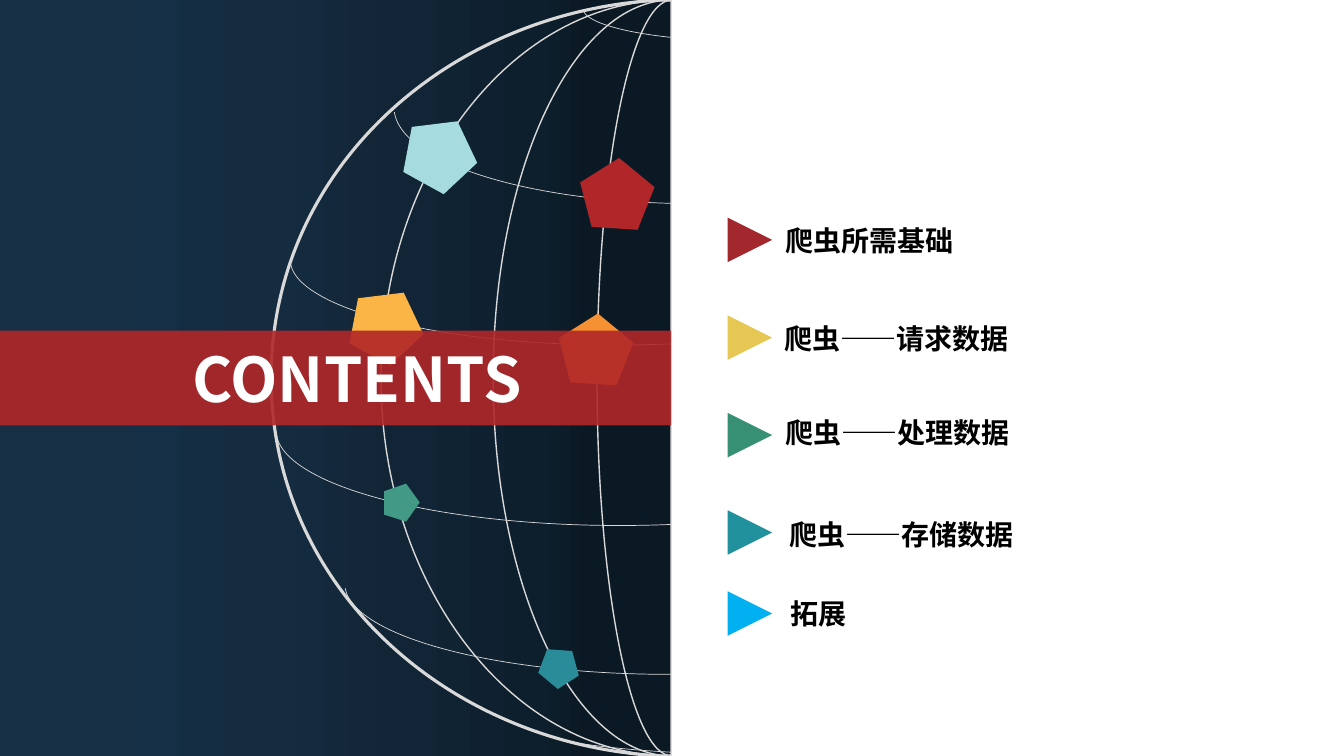
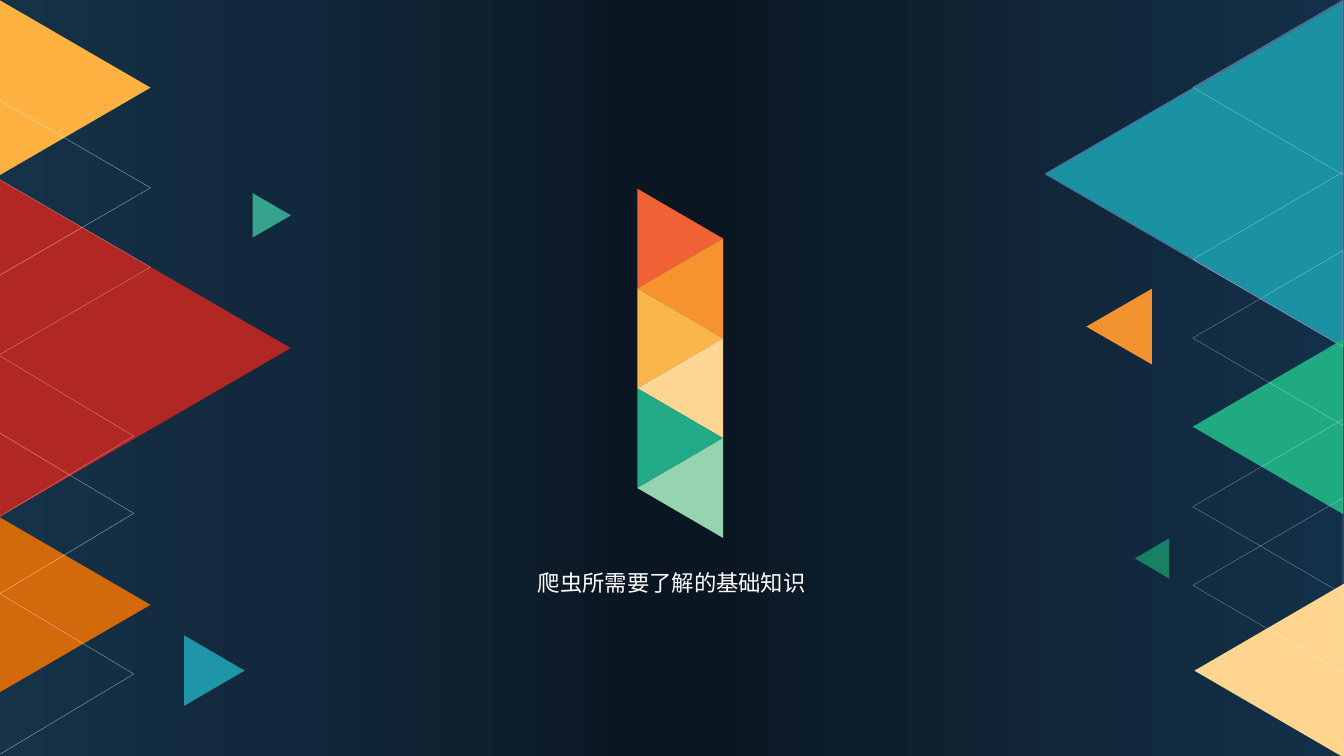
from dataclasses import dataclass
from typing import Any, Optional

from lxml import etree
from pptx import Presentation
from pptx.dml.color import RGBColor
from pptx.enum import shapes, text
from pptx.oxml.ns import qn
from pptx.util import Emu, Pt

# Grid of square cells covering the slide
COLUMNS, ROWS = 400, 225
CELL = 30480
HALF = COLUMNS / 2
LEFT_EDGE, RIGHT_EDGE = -0.2, 399.7
BLANK_LAYOUT = 6
CURVE_HANDLE = 0.55
KIND = shapes.MSO_SHAPE


@dataclass(frozen=True)
class Theme:
    font: str = "Noto Sans CJK SC"
    title_size: float = 44
    item_size: float = 20
    caption_size: float = 16
    white: str = "FFFFFF"
    black: str = "000000"
    globe_line: str = "D9D9D9"
    band: str = "B12729"
    edge: str = "43739E"
    panel_stops: tuple = ((0, "162F45"), (20, "152F46"), (40, "152B40"),
                          (60, "122536"), (80, "0D1F2D"), (88, "0B1924"))
    page_stops: tuple = ((0, "123049"), (20, "12273A"), (35, "0D1F2D"),
                         (47, "0A1622"), (50, "0A1622"), (53, "0A1622"),
                         (65, "0F2030"), (80, "12283D"), (100, "153249"))


THEME = Theme()


@dataclass(frozen=True)
class Area:
    """Left, top, width and height in grid cells."""
    left: float
    top: float
    width: float
    height: float

    def emu(self) -> tuple[Emu, ...]:
        return tuple(Emu(round(n * CELL))
                     for n in (self.left, self.top, self.width, self.height))


@dataclass(frozen=True)
class Stroke:
    color: str
    width: float
    opacity: int = 100


@dataclass(frozen=True)
class Triangle:
    """Flat side at column base, centred on row middle, pointing sideways."""
    base: float
    middle: float
    depth: float
    span: float
    points_right: bool
    fill: Optional[str] = None
    stroke: Optional[Stroke] = None


@dataclass(frozen=True)
class Meridian:
    center: float
    radius: float
    width: float
    sag: float = 0


@dataclass(frozen=True)
class Pentagon:
    area: Area
    rotation: float
    fill: str


@dataclass(frozen=True)
class Item:
    label: str
    color: str
    middle: float
    text_left: float
    text_middle: float


# Drawing helpers
def set_opacity(parent: Any, percent: int) -> None:
    if percent < 100:
        color = parent.find(".//" + qn("a:srgbClr"))
        etree.SubElement(color, qn("a:alpha")).set("val", str(percent * 1000))


def set_gradient(fill: Any, element: Any, stops: tuple, angle: float) -> None:
    fill.gradient()
    fill.gradient_angle = angle
    stop_list = element.find(".//" + qn("a:gsLst"))
    for old in list(stop_list):
        stop_list.remove(old)
    for position, color in stops:
        stop = etree.SubElement(stop_list, qn("a:gs"))
        stop.set("pos", str(position * 1000))
        etree.SubElement(stop, qn("a:srgbClr")).set("val", color)


def style(shape: Any, fill: Optional[str] = None,
          stroke: Optional[Stroke] = None, opacity: int = 100) -> Any:
    shape.shadow.inherit = False
    if fill:
        shape.fill.solid()
        shape.fill.fore_color.rgb = RGBColor.from_string(fill)
        set_opacity(shape.element.spPr.find(qn("a:solidFill")), opacity)
    else:
        shape.fill.background()
    if stroke:
        shape.line.color.rgb = RGBColor.from_string(stroke.color)
        shape.line.width = Pt(stroke.width)
        set_opacity(shape.element.spPr.find(qn("a:ln")), stroke.opacity)
    else:
        shape.line.fill.background()
    return shape


def add_preset(page: Any, kind: Any, area: Area, **look: Any) -> Any:
    return style(page.shapes.add_shape(kind, *area.emu()), **look)


def add_triangle(page: Any, item: Triangle) -> None:
    center = item.base + item.depth / 2 * (1 if item.points_right else -1)
    area = Area(center - item.span / 2, item.middle - item.depth / 2,
                item.span, item.depth)
    shape = add_preset(page, KIND.ISOSCELES_TRIANGLE, area,
                       fill=item.fill, stroke=item.stroke)
    shape.rotation = 90 if item.points_right else 270


def add_text(page: Any, words: str, area: Area, *, size: float, color: str,
             bold: bool = False, centered: bool = False) -> None:
    box = page.shapes.add_textbox(*area.emu())
    frame = box.text_frame
    frame.word_wrap = True
    frame.auto_size = text.MSO_AUTO_SIZE.SHAPE_TO_FIT_TEXT
    para = frame.paragraphs[0]
    para.alignment = text.PP_ALIGN.CENTER if centered else text.PP_ALIGN.LEFT
    span = para.add_run()
    span.text = words
    span.font.size = Pt(size)
    span.font.bold = bold
    span.font.color.rgb = RGBColor.from_string(color)
    span.font.name = THEME.font
    east_asian = etree.SubElement(span.font._element, qn("a:ea"))
    east_asian.set("typeface", THEME.font)


def add_meridian(page: Any, item: Meridian) -> None:
    """Left half of an ellipse as tall as the slide, closed at mid-slide."""
    left, middle = item.center - item.radius, ROWS / 2
    corners = [(HALF, ROWS), (item.center, ROWS), (left, middle), (item.center, 0)]
    if item.center == HALF:
        del corners[1]
    points = [(round(x * CELL), round(y * CELL)) for x, y in corners]
    builder = page.shapes.build_freeform(round(HALF * CELL), 0, scale=1.0)
    builder.add_line_segments(points, close=True)
    outline = style(builder.convert_to_shape(),
                    stroke=Stroke(THEME.globe_line, item.width))

    # Turn the last two straight sides into quarter ellipses
    near = item.center - CURVE_HANDLE * item.radius
    reach = CURVE_HANDLE * middle
    controls = (((near, ROWS - item.sag), (left, middle + reach)),
                ((left, middle - reach), (near, item.sag)))
    sides = outline.element.findall(".//" + qn("a:lnTo"))[-2:]
    if item.center == HALF:
        sides = outline.element.findall(".//" + qn("a:lnTo"))[1:3]
    for side, handles in zip(sides, controls):
        side.tag = qn("a:cubicBezTo")
        for index, (x, y) in enumerate(handles):
            point = etree.Element(qn("a:pt"))
            point.set("x", str(round((x - left) * CELL)))
            point.set("y", str(round(y * CELL)))
            side.insert(index, point)


def add_parallel(page: Any, area: Area) -> None:
    """Lower half of an ellipse, made by turning an upper arc over."""
    arc = add_preset(page, KIND.ARC, area, stroke=Stroke(THEME.globe_line, 0.5))
    arc.adjustments[0] = 108.6
    arc.adjustments[1] = 215.51
    frame = arc.element.spPr.find(qn("a:xfrm"))
    frame.set("flipH", "1")
    frame.set("flipV", "1")


# Contents slide
MERIDIANS = (
    Meridian(196.8, 116.1, 2.25, sag=3.3), Meridian(HALF, 86.6, 1),
    Meridian(HALF, 53.2, 1), Meridian(HALF, 22.3, 1),
)
PARALLELS = (
    Area(159.6, 208.5, 143, 16.2), Area(102.6, 146.7, 192.6, 54),
    Area(82.2, 100, 204.3, 56.4), Area(86.4, 52, 194, 50.7),
    Area(117.3, 3.6, 178, 57), Area(173.4, -7.5, 99.3, 19.8),
)
PENTAGONS = (
    Pentagon(Area(120, 34.8, 22.2, 21), 28.8, "A6DCDF"),
    Pentagon(Area(104, 85.8, 22.2, 21), 28.8, "FAB546"),
    Pentagon(Area(113.7, 143.7, 11.1, 10.8), 17.5, "429A86"),
    Pentagon(Area(160, 192.3, 12, 11.7), 327.4, "2A8C98"),
    Pentagon(Area(172.5, 47, 22.2, 21), 3.6, "B12729"),
    Pentagon(Area(166.2, 93.3, 22.2, 21), 3.6, "F59132"),
)
ITEMS = (
    Item("爬虫所需基础", "A3282D", 71.4, 230.8, 71.7),
    Item("爬虫——请求数据", "E7C753", 100.5, 230.4, 100.8),
    Item("爬虫——处理数据", "379074", 129.5, 230.7, 128.7),
    Item("爬虫——存储数据", "21919D", 158.5, 232, 159.1),
    Item("拓展", "00B0F0", 182.6, 232.2, 182.7),
)


def build_contents(page: Any) -> None:
    panel = add_preset(page, KIND.RECTANGLE, Area(0, 0, HALF, ROWS))
    set_gradient(panel.fill, panel.element, THEME.panel_stops, 0)

    # Globe
    for meridian in MERIDIANS:
        add_meridian(page, meridian)
    for area in PARALLELS:
        add_parallel(page, area)
    for item in PENTAGONS:
        shape = add_preset(page, KIND.REGULAR_PENTAGON, item.area, fill=item.fill)
        shape.rotation = item.rotation

    # Title band and white half
    add_preset(page, KIND.RECTANGLE, Area(0, 98.4, 199.8, 28.2),
               fill=THEME.band, opacity=90)
    add_preset(page, KIND.RECTANGLE, Area(HALF, 0, HALF, ROWS), fill=THEME.white)
    add_text(page, "CONTENTS", Area(46.9, 100.1, 118.8, 25.2),
             size=THEME.title_size, color=THEME.white, bold=True, centered=True)

    # List of chapters
    side = 13.2
    for item in ITEMS:
        add_triangle(page, Triangle(216.6, item.middle, side, side, True, item.color))
        add_text(page, item.label,
                 Area(item.text_left, item.text_middle - side / 2, 112.5, side),
                 size=THEME.item_size, color=THEME.black, bold=True)


# Chapter slide
FAINT = Stroke(THEME.white, 0.25, 45)
CLEAR = Stroke(THEME.white, 0.25, 60)
EDGE_TRIANGLES = (
    Triangle(RIGHT_EDGE, 51.75, 88.5, 102.6, False, "1A92A2", Stroke(THEME.edge, 1)),
    Triangle(RIGHT_EDGE, 127, 44.7, 52, False, "20AA81"),
    Triangle(400.2, 199.6, 44.7, 52, False, "FFD590"),
    Triangle(LEFT_EDGE, 103.6, 86.7, 100.5, True, "B12723"),
    Triangle(LEFT_EDGE, 26.1, 45, 52.2, True, "FFB242"),
    Triangle(LEFT_EDGE, 180, 45, 52.2, True, "D2690B"),
    Triangle(LEFT_EDGE, 55.9, 45, 52.2, True, stroke=CLEAR),
    Triangle(LEFT_EDGE, 79.5, 45, 52.2, True, stroke=FAINT),
    Triangle(LEFT_EDGE, 129.8, 40, 48, True, stroke=FAINT),
    Triangle(LEFT_EDGE, 152.8, 40, 48, True, stroke=CLEAR),
    Triangle(LEFT_EDGE, 200.6, 40, 48, True, stroke=CLEAR),
    *(Triangle(RIGHT_EDGE, middle, 44.7, 52, False, stroke=FAINT)
      for middle in (77.2, 100.6, 150.8, 174.2, 26)),
)
FLOATING_TRIANGLES = (
    Triangle(342.8, 97.2, 19.5, 22.5, False, "F39231"),
    Triangle(75.2, 64.1, 11.4, 13.2, True, "38A38D"),
    Triangle(54.8, 199.6, 18, 21, True, "1F95A9"),
    Triangle(348, 166.2, 10.2, 12, False, "178163"),
)
NUMERAL_COLORS = ("F16136", "F6932F", "FAB64A", "FCD692", "21AA85", "96D3AF")


def build_chapter(page: Any) -> None:
    set_gradient(page.background.fill, page.element, THEME.page_stops, 180)
    for item in EDGE_TRIANGLES + FLOATING_TRIANGLES:
        add_triangle(page, item)

    # Numeral of interlocking triangles
    left, depth, span, first = 189.7, 25.5, 29.7, 71
    for index, color in enumerate(NUMERAL_COLORS):
        points_right = index % 2 == 0
        base = left if points_right else left + depth
        add_triangle(page, Triangle(base, first + index * span / 2,
                                    depth, span, points_right, color))

    add_text(page, "爬虫所需要了解的基础知识", Area(100.2, 168, 199.5, 11.1),
             size=THEME.caption_size, color=THEME.white, centered=True)


def main() -> None:
    deck = Presentation()
    deck.slide_width = Emu(COLUMNS * CELL)
    deck.slide_height = Emu(ROWS * CELL)
    for build in (build_contents, build_chapter):
        build(deck.slides.add_slide(deck.slide_layouts[BLANK_LAYOUT]))
    deck.save("out.pptx")


if __name__ == "__main__":
    main()
